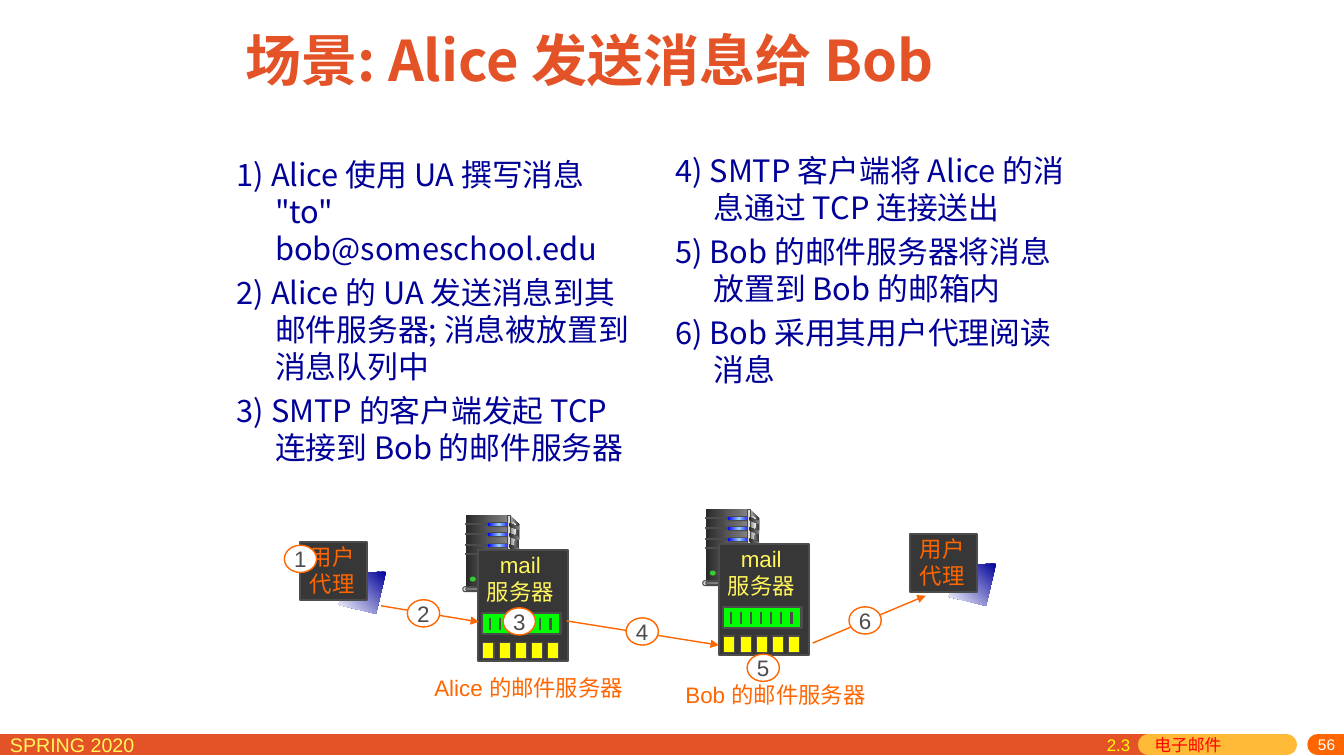
import pptx
import pptx.dml.color
import pptx.enum.shapes
import pptx.enum.text
import pptx.oxml.ns
import pptx.util
from lxml import etree

PX = 9144
KIND = pptx.enum.shapes.MSO_SHAPE
ALIGN = pptx.enum.text.PP_ALIGN
ANCHOR = pptx.enum.text.MSO_ANCHOR
qn = pptx.oxml.ns.qn
CJK = "Noto Sans CJK SC"
ORANGE, YELLOW, NAVY, RED = "FF6600", "FFF65C", "000099", "E45327"
GREY, DARK, WHITE = "4C4C4C", "373737", "FFFFFF"
SHADE = ["292929", "808080"]
BLUE_GLOW = ["0000FF", "99CCFF", "0000FF"]


def px(value):
    return pptx.util.Emu(round(value * PX))


def rgb(code):
    return pptx.dml.color.RGBColor.from_string(code)


def paint(shape, fill, line=None, width=0.75, angle=0):
    """Fill with one colour, or with evenly spaced gradient stops, and outline."""
    shape.shadow.inherit = False
    if isinstance(fill, str):
        shape.fill.solid()
        shape.fill.fore_color.rgb = rgb(fill)
    else:
        shape.fill.gradient()
        gradient = shape._element.spPr.find(qn("a:gradFill"))
        gradient.find(qn("a:lin")).set("ang", str(angle * 60000))
        stops = gradient.find(qn("a:gsLst"))
        for stop in list(stops):
            stops.remove(stop)
        for index, code in enumerate(fill):
            position = index * 100000 // (len(fill) - 1)
            stop = etree.SubElement(stops, qn("a:gs"), pos=str(position))
            etree.SubElement(stop, qn("a:srgbClr"), val=code)
    if line:
        shape.line.color.rgb = rgb(line)
        shape.line.width = pptx.util.Pt(width)
    else:
        shape.line.fill.background()


def add_block(holder, kind, x, y, w, h, fill, line=None, width=0.75):
    shape = holder.shapes.add_shape(kind, px(x), px(y), px(w), px(h))
    if kind == KIND.ROUNDED_RECTANGLE:
        shape.adjustments[0] = 0.5
    paint(shape, fill, line, width)
    return shape


def add_outline(holder, x, y, points, fill, angle=0):
    corners = [(x + dx, y + dy) for dx, dy in points]
    builder = holder.shapes.build_freeform(*corners[0], scale=PX)
    builder.add_line_segments(corners[1:], close=True)
    paint(builder.convert_to_shape(), fill, angle=angle)


def add_line(holder, x1, y1, x2, y2, color, width, arrow=False, cap=None):
    line = holder.shapes.add_connector(
        pptx.enum.shapes.MSO_CONNECTOR.STRAIGHT, px(x1), px(y1), px(x2), px(y2))
    line.line.color.rgb = rgb(color)
    line.line.width = pptx.util.Pt(width)
    stroke = line.line._get_or_add_ln()
    if cap:
        stroke.set("cap", cap)
    if arrow:
        etree.SubElement(stroke, qn("a:tailEnd"), type="triangle")
    etree.SubElement(line._element.spPr, qn("a:effectLst"))


def add_span(para, text, size, color, font="Arial", bold=False):
    span = para.add_run()
    span.text = text
    span.font.size = pptx.util.Pt(size)
    span.font.bold = bold
    span.font.name = font
    span.font.color.rgb = rgb(color)
    etree.SubElement(span._r.get_or_add_rPr(), qn("a:ea"), typeface=CJK)


def add_text(holder, x, y, w, h, lines, size, color, font="Arial", bold=False,
             align=ALIGN.LEFT, anchor=ANCHOR.TOP, hanging=0, gap=0):
    box = holder.shapes.add_textbox(px(x), px(y), px(w), px(h))
    frame = box.text_frame
    frame.word_wrap = True
    frame.vertical_anchor = anchor
    for index, text in enumerate(lines):
        para = frame.paragraphs[0] if index == 0 else frame.add_paragraph()
        para.alignment = align
        if hanging:
            para._p.get_or_add_pPr().set("marL", str(px(hanging)))
            para._p.get_or_add_pPr().set("indent", str(px(-hanging)))
        if index and gap:
            para.space_before = pptx.util.Pt(gap)
        add_span(para, text, size, color, font, bold)
    return frame


def add_footer(page):
    for start, end, color, cap in [(-18, 1139, RED, "flat"), (1139, 1276, "FFBA37", "rnd"),
                                   (1307, 1360, ORANGE, "rnd")]:
        add_line(page, start, 739, end, 739, color, 15, cap=cap)
    add_text(page, 0, 722, 229, 31, ["SPRING 2020"], 14, YELLOW)
    number = add_text(page, 1075, 732, 259, 18, ["56"], 11, WHITE,
                      align=ALIGN.RIGHT, anchor=ANCHOR.MIDDLE)
    number.margin_top = 0
    section = add_text(page, 1088, 724, 209, 31, ["2.3"], 12, "FFFF00").paragraphs[0]
    tabs = etree.SubElement(section._p.get_or_add_pPr(), qn("a:tabLst"))
    etree.SubElement(tabs, qn("a:tab"), pos=str(px(47)), algn="l")
    add_span(section, "\t电子邮件", 12, "FF0000")


def add_user_agent(page, x, y):
    group = page.shapes.add_group_shape()
    add_outline(group, x, y, [(85, 29), (45, 31), (38, 62), (75, 71)], [NAVY, WHITE], 135)
    add_block(group, KIND.RECTANGLE, x, y, 66, 57, DARK, GREY, 1.5)
    add_text(group, x - 1, y - 4, 65, 64, ["用户", "代理"], 16, ORANGE, align=ALIGN.CENTER)


def add_tower(page, x, y):
    """Draw the server cabinet whose front panel starts at x, y."""
    group = page.shapes.add_group_shape()
    bar, pill, disc = KIND.RECTANGLE, KIND.ROUNDED_RECTANGLE, KIND.OVAL
    add_outline(group, x, y, [(43, 0), (53, 9), (52, 69), (41, 72)], ["DDDDDD", "333333"])
    add_block(group, bar, x, y, 41, 72, SHADE)
    add_outline(group, x, y, [(44, 4), (50, 10), (46, 40), (44, 70)], ["808080", "F8F8F8"])
    slots = [8, 18, 29]
    for slot in slots + [38]:
        add_block(group, bar, x, y + slot, 23, 1, GREY, GREY)
    for slot in slots:
        add_block(group, pill, x + 21, y + slot - 1, 23, 5, GREY)
        add_block(group, pill, x + 22, y + slot, 22, 3, BLUE_GLOW)
    add_block(group, bar, x + 41, y, 3, 72, ["333333", "DDDDDD", "333333"], GREY)
    for slot in slots:
        add_outline(group, x, y + slot, [(43, 0), (53, 4), (53, 7), (43, 3)], SHADE)
    add_block(group, pill, x - 3, y + 71, 47, 5, "DDDDDD", GREY)
    add_block(group, pill, x, y + 72, 42, 3, ["777777", "B2B2B2"], GREY)
    for offset, color in [(4, "33CC33"), (11, "FF0000")]:
        add_block(group, disc, x + offset, y + 61, 6, 5, color)


def add_mail_server(page, x, y):
    group = page.shapes.add_group_shape()
    add_block(group, KIND.RECTANGLE, x, y, 89, 110, DARK, GREY, 1.5)
    add_text(group, x - 2, y - 4, 88, 64, ["mail", "服务器"], 16, YELLOW, align=ALIGN.CENTER)
    add_block(group, KIND.RECTANGLE, x + 4, y + 62, 78, 21, "00FF00", GREY, 1.5)
    for tick in range(7):
        left = x + 12 + 10 * tick
        add_line(group, left, y + 67, left, y + 79, GREY, 1.5)
    for mailbox in range(5):
        add_block(group, KIND.RECTANGLE, x + 5 + 16 * mailbox, y + 91, 11, 16, "FFFF00", GREY)


def add_badge(page, x, y, text):
    badge = add_block(page, KIND.OVAL, x, y, 32, 27, WHITE, ORANGE, 1)
    frame = badge.text_frame
    frame.word_wrap = False
    frame.vertical_anchor = ANCHOR.MIDDLE
    frame.paragraphs[0].alignment = ALIGN.CENTER
    add_span(frame.paragraphs[0], text, 16, GREY)


def main():
    deck = pptx.Presentation()
    deck.slide_width, deck.slide_height = px(1333), px(750)
    page = deck.slides.add_slide(deck.slide_layouts[6])
    add_footer(page)
    add_text(page, 211, 2, 747, 113, ["场景: Alice 发送消息给 Bob"], 40, RED, CJK, True,
             ALIGN.CENTER, ANCHOR.MIDDLE)
    columns = [
        (225, 150, ["1) Alice 使用 UA 撰写消息 \"to\" bob@someschool.edu",
                    "2) Alice 的 UA 发送消息到其 邮件服务器; 消息被放置到 消息队列中",
                    "3) SMTP 的客户端发起 TCP 连接到 Bob 的邮件服务器"]),
        (660, 146, ["4) SMTP 客户端将 Alice 的消息通过 TCP 连接送出",
                    "5) Bob 的邮件服务器将消息放置到 Bob 的邮箱内",
                    "6) Bob 采用其用户代理阅读消息"])]
    for x, y, steps in columns:
        add_text(page, x, y, 417, 355, steps, 22, NAVY, CJK, hanging=38, gap=5)
    for x, y in [(298, 538), (903, 530)]:
        add_user_agent(page, x, y)
    for x, y in [(462, 511), (700, 505)]:
        add_tower(page, x, y)
    for x, y in [(474, 546), (713, 540)]:
        add_mail_server(page, x, y)
    for ends in [(378, 601, 475, 617), (562, 616, 713, 640), (806, 638, 918, 591)]:
        add_line(page, *ends, ORANGE, 1, arrow=True)
    badges = [(282, 541), (404, 595), (499, 603), (621, 613), (741, 649), (842, 602)]
    for number, (x, y) in enumerate(badges, 1):
        add_badge(page, x, y, str(number))
    for x, y, w, owner in [(421, 664, 210, "Alice"), (670, 671, 201, "Bob")]:
        add_text(page, x, y, w, 37, [f"{owner} 的邮件服务器"], 16, ORANGE, hanging=38)
    deck.save("out.pptx")


if __name__ == "__main__":
    main()
